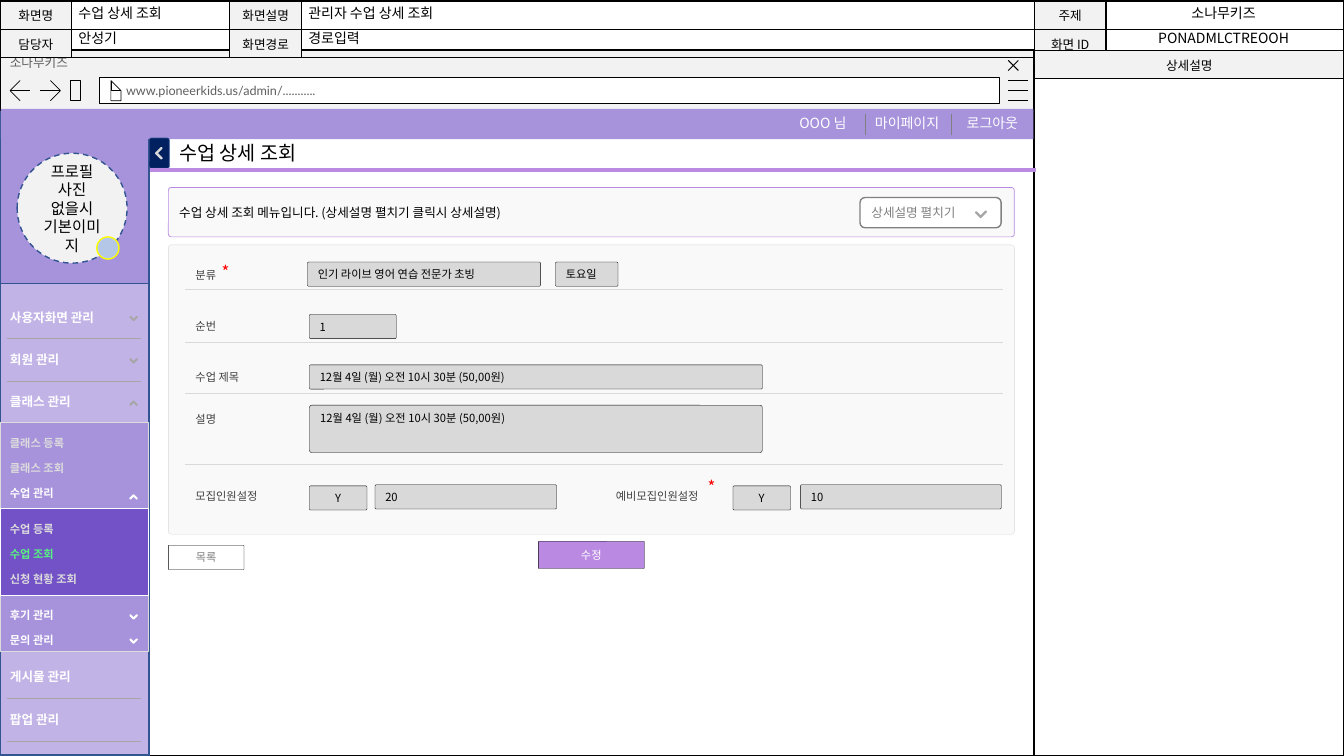
from collections import namedtuple
from dataclasses import dataclass
from math import cos, radians, sin

from lxml.etree import SubElement
from pptx import Presentation
from pptx.dml.color import RGBColor as Rgb
from pptx.enum.dml import MSO_LINE_DASH_STYLE as Dash
from pptx.enum.shapes import MSO_CONNECTOR as Conn, MSO_SHAPE as Kind
from pptx.enum.text import MSO_ANCHOR as Anchor, PP_ALIGN as Align
from pptx.oxml import parse_xml
from pptx.oxml.ns import nsdecls, qn
from pptx.util import Inches, Pt

STEP = 0.1  # one column or row of the grid, in inches


@dataclass(frozen=True)
class Theme:
    sans: str = "Noto Sans CJK KR"
    lato: str = "Lato"
    black: str = "000000"
    white: str = "FFFFFF"
    pale: str = "F2F2F2"
    panel: str = "F9F9F9"
    field: str = "D9D9D9"
    soft: str = "DCDCDC"
    mist: str = "BFBFBF"
    ash: str = "A6A6A6"
    gray: str = "808080"
    dim: str = "5F5F5F"
    dark: str = "404040"
    purple: str = "A792DC"
    light: str = "C2B3E7"
    deep: str = "7351C7"
    accent: str = "BA8AE3"
    blue: str = "325491"
    navy: str = "002060"
    sky: str = "B4C7E7"
    green: str = "57F380"
    red: str = "FF0000"
    yellow: str = "FFFF00"
    small: int = 8
    base: int = 9
    text: int = 10
    photo: int = 11
    star: int = 12
    title: int = 14


T = Theme()


class Box(namedtuple("Box", "x y w h")):
    def sub(self, x, y, w, h):
        return Box(self.x + x, self.y + y, w, h)

    def emu(self):
        return [Inches(v * STEP) for v in self]


# Basic parts
def write(frame, text, size=T.base, color=T.black, bold=False, mid=True,
          center=False, font=T.sans):
    frame.text = text
    frame.word_wrap = True
    frame.vertical_anchor = Anchor.MIDDLE if mid else Anchor.TOP
    for para in frame.paragraphs:
        para.alignment = Align.CENTER if center else Align.LEFT
        for run in para.runs:
            run.font.size, run.font.bold, run.font.name = Pt(size), bold, font
            run.font.color.rgb = Rgb.from_string(color)
            SubElement(run.font._element, qn("a:ea")).set("typeface", font)


def label(box, text, size=T.text, color=T.black, mid=False, **style):
    shape = slide.shapes.add_textbox(*box.emu())
    write(shape.text_frame, text, size, color, mid=mid, **style)


def stroke(shape, color, width):
    if color:
        shape.line.color.rgb = Rgb.from_string(color)
        shape.line.width = Pt(width)
    else:
        shape.line.fill.background()


def draw(box, fill, line=None, width=1, kind=Kind.RECTANGLE, adj=()):
    shape = slide.shapes.add_shape(kind, *box.emu())
    shape.shadow.inherit = False
    shape.fill.solid()
    shape.fill.fore_color.rgb = Rgb.from_string(fill)
    stroke(shape, line, width)
    for i, value in enumerate(adj):
        shape.adjustments[i] = value
    return shape


def rounded(box, fill, line, width, adj):
    return draw(box, fill, line, width, Kind.ROUNDED_RECTANGLE, [adj])


def rule(box, color):
    x, y, w, h = box.emu()
    line = slide.shapes.add_connector(Conn.STRAIGHT, x, y, x + w, y + h)
    stroke(line, color, 0.5)
    SubElement(line._element.spPr, qn("a:effectLst"))


def arrow(box, turn, color):
    draw(box, T.mist, color, 1, Kind.CORNER, [0.12, 0.12]).rotation = turn


def icon(box, *paths, width=0.5):
    pen = None
    for path in paths:
        pts = [(box.x + x, box.y + y) for x, y in path]
        if pen:
            pen.move_to(*pts[0])
        else:
            pen = slide.shapes.build_freeform(*pts[0], scale=Inches(STEP))
        pen.add_line_segments(pts[1:], close=False)
    shape = pen.convert_to_shape()
    shape.shadow.inherit = False
    shape.fill.background()
    stroke(shape, T.black, width)


def grid(box, cols, rows, cells):
    table = slide.shapes.add_table(len(rows), len(cols), *box.emu()).table
    table.first_row = table.horz_banding = False
    for col, w in zip(table.columns, cols):
        col.width = Inches(w * STEP)
    for row, h in zip(table.rows, rows):
        row.height = Inches(h * STEP)
    for cell, text in zip(table.iter_cells(), cells):
        if text:
            write(cell.text_frame, text, mid=False, center=True)
            cell.fill.solid()
            cell.fill.fore_color.rgb = Rgb.from_string(T.pale)
        else:
            end = cell.text_frame.paragraphs[0]._p.get_or_add_endParaRPr()
            end.set("sz", str(T.base * 100))
            cell.fill.background()
        for i, side in enumerate("LRTB"):
            cell._tc.get_or_add_tcPr().insert(i, parse_xml(
                f'<a:ln{side} {nsdecls("a")} w="12700"><a:solidFill>'
                f'<a:srgbClr val="{T.black}"/></a:solidFill></a:ln{side}>'))


# Regions
def browser(box):
    draw(box.sub(0, 5.9, box.w, box.h - 5.9), T.white, T.black, 1.5)
    bar = draw(box.sub(0, 0, box.w, 5.9), T.pale, T.black, 1.5)
    write(bar.text_frame, "소나무키즈", color=T.dim, mid=False, font=T.lato)
    icon(box.sub(100, 3.4, 1.6, 1.2), *[[(0, y), (1.6, y)] for y in (0, 0.6, 1.2)])
    icon(box.sub(100.3, 0.8, 1.1, 1), [(0, 0), (1.1, 1)], [(1.1, 0), (0, 1)],
         width=0.75)
    site = draw(box.sub(9.9, 2.7, 89.2, 2.6), T.white, T.black, 0.5)
    site.text_frame.margin_left = Inches(0.26)
    write(site.text_frame, "www.pioneerkids.us/admin/...........", color=T.dim,
          font=T.lato)
    icon(box.sub(10.7, 3.3, 1, 1.5), [(0.6, 0), (0.6, 0.4), (1, 0.4)],
         [(0, 0), (0, 1.5), (1, 1.5), (1, 0.4), (0.6, 0), (0, 0)])
    icon(box.sub(1.4, 3.3, 1.7, 1.3), [(0.6, 1.3), (0, 0.65), (0.6, 0)],
         [(0, 0.65), (1.7, 0.65)])
    icon(box.sub(4, 3.3, 1.7, 1.3), [(1.1, 0), (1.7, 0.65), (1.1, 1.3)],
         [(0, 0.65), (1.7, 0.65)])
    ring = [(0.85 + 0.85 * cos(radians(a)), 0.95 + 0.85 * sin(radians(a)))
            for a in range(25, 336, 10)]
    icon(box.sub(6.7, 3, 1.7, 1.9), [(1.7, 0.1), (1.7, 0.6), (1.1, 0.6)], ring)


def header(box):
    grid(box, [7.1, 15.7, 7.1, 72.7, 7.1, 23.6], [box.h / 2] * 2,
         ["화면명", "", "화면설명", "", "주제", "",
          "담당자", "", "화면경로", "", "화면 ID", ""])
    for x, w, center, pair in (
            (6.8, 15.9, False, ("수업 상세 조회", "안성기")),
            (29.6, 73.1, False, ("관리자 수업 상세 조회", "경로입력")),
            (109.4, 23.9, True, ("소나무키즈", "PONADMLCTREOOH"))):
        for i, text in enumerate(pair):
            label(box.sub(x, 2.4 * i - 0.1, w, 2.7), text, center=center)


def notes(box):
    grid(box, [box.w], [2.8, box.h - 2.8], ["상세설명", ""])


def sidebar(box):
    down, up = 315, 135
    draw(box, T.purple, T.blue)
    draw(box.sub(0, 17, box.w, 46.8), T.light, T.blue)
    # Profile
    photo = draw(box.sub(1.7, 4.1, 10.9, 10.9), T.pale, T.blue, kind=Kind.OVAL)
    photo.line.dash_style = Dash.DASH
    write(photo.text_frame, "프로필 사진\n없을시 기본이미지", T.photo, center=True)
    draw(box.sub(9.6, 12.4, 2.2, 2.2), T.sky, T.yellow, kind=Kind.OVAL)
    # Main menu
    for y, text, turn, line in (
            (18.2, "사용자화면 관리", down, True), (22.4, "회원 관리", down, True),
            (26.6, "클래스 관리", up, False), (53.9, "게시물 관리", None, True),
            (58.1, "팝업 관리", None, True)):
        label(box.sub(0, y, box.w, 4.3), text, T.base, T.white, True, bold=True)
        if turn:
            arrow(box.sub(13, y + (2.2 if turn == up else 1.9), 0.5, 0.5), turn, T.ash)
        if line:
            rule(box.sub(0.7, y + 4.3, 13.3, 0), T.ash)
    # Open submenu
    draw(box.sub(0, 30.8, 14.7, 22.7), T.purple, T.soft, 0.5)
    draw(box.sub(0, 39.3, 14.7, 8.7), T.deep, T.white, 0.5)
    for y, text, color, turn in (
            (31.5, "클래스 등록", T.soft, None), (34, "클래스 조회", T.soft, None),
            (36.5, "수업 관리", T.white, up), (40, "수업 등록", T.soft, None),
            (42.5, "수업 조회", T.green, None), (45, "신청 현황 조회", T.soft, None),
            (48.6, "후기 관리", T.white, down), (51, "문의 관리", T.white, down)):
        label(box.sub(0, y, box.w, 2.7), text, T.small, color, True, bold=True)
        if turn:
            arrow(box.sub(13, y + (1.6 if turn == up else 1.1), 0.5, 0.5), turn, T.white)


def topbar(box):
    draw(box, T.purple)
    for x, text in (78.2, "OOO 님"), (85.7, "마이페이지"), (94.8, "로그아웃"):
        label(box.sub(x, 0.1, 11, 2.7), text, color=T.white)
    for x in 85.7, 94.3:
        rule(box.sub(x, 0.5, 0, 2.1), T.gray)


def heading(box):
    rounded(box.sub(0, 0, 2, 3), T.navy, T.blue, 0.5, 0.11)
    arrow(box.sub(0.8, 1.1, 0.8, 0.8), 45, T.field)
    draw(box.sub(0.1, 3, box.w, 0.3), T.accent, T.accent)
    label(box.sub(2, -0.2, 15.9, 3.4), "수업 상세 조회", T.title)


def intro(box):
    card = rounded(box, T.panel, T.accent, 0.5, 0.06)
    write(card.text_frame, "수업 상세 조회 메뉴입니다. (상세설명 펼치기 클릭시 상세설명)")
    more = rounded(box.sub(68.6, 1, 14, 3), T.white, T.gray, 1, 0.17)
    write(more.text_frame, "상세설명 펼치기", color=T.gray)
    arrow(box.sub(80.2, 2.1, 0.8, 0.7), 315, T.ash)


def form(box):
    rounded(box, T.panel, T.field, 0.25, 0.01)
    for y in 4.4, 9.7, 14.7, 21.8:
        rule(box.sub(1.7, y, 81.1, 0), T.field)
    for x, y, text in (
            (1.7, 1.8, "분류"), (1.7, 6.9, "순번"), (1.7, 11.9, "수업 제목"),
            (1.7, 16.1, "설명"), (1.7, 23.8, "모집인원설정"),
            (43.4, 23.8, "예비모집인원설정")):
        label(box.sub(x, y, 11.2, 2.4), text, T.small, T.dark)
    for x, y in (4.3, 1.2), (52.5, 22.5):
        label(box.sub(x, y, 3, 3), "*", T.star, T.red)
    when = "12월 4일 (월) 오전 10시 30분 (50,00원)"
    for x, y, w, h, text in (
            (13.8, 1.7, 23.1, 2.4, "인기 라이브 영어 연습 전문가 초빙"),
            (38.4, 1.7, 6.2, 2.4, "토요일"), (14, 6.9, 8.6, 2.4, "1"),
            (14, 11.9, 44.9, 2.4, when), (14, 15.9, 44.9, 4.7, when),
            (14, 23.9, 5.7, 2.4, "Y"), (20.5, 23.8, 18, 2.4, "20"),
            (56, 23.9, 5.7, 2.4, "Y"), (62.7, 23.8, 19.9, 2.4, "10")):
        field = rounded(box.sub(x, y, w, h), T.field, T.black, 0.25, 0.05)
        write(field.text_frame, text, T.small, mid=h < 4, center=text == "Y")


def actions(box):
    for x, y, w, h, text, fill, color in (
            (0, 0.4, 7.5, 2.4, "목록", T.white, T.gray),
            (36.7, 0, 10.5, 2.7, "수정", T.accent, T.white)):
        button = rounded(box.sub(x, y, w, h), fill, T.black, 0.25, 0.02)
        write(button.text_frame, text, T.small, color, center=True)


deck = Presentation()
deck.slide_width, deck.slide_height = Inches(13.33), Inches(7.5)
slide = deck.slides.add_slide(deck.slide_layouts[6])
browser(Box(0, 5, 102.6, 70))
header(Box(0, 0.1, 133.3, 5.6))
notes(Box(102.6, 5, 30.7, 70))
sidebar(Box(0, 11.1, 14.8, 63.9))
topbar(Box(0.1, 10.8, 102.4, 3))
heading(Box(14.8, 13.7, 87.8, 3.3))
intro(Box(16.7, 18.6, 83.9, 4.9))
form(Box(16.7, 24.3, 83.9, 28.7))
actions(Box(16.7, 53.7, 83.9, 2.8))
deck.save("out.pptx")
